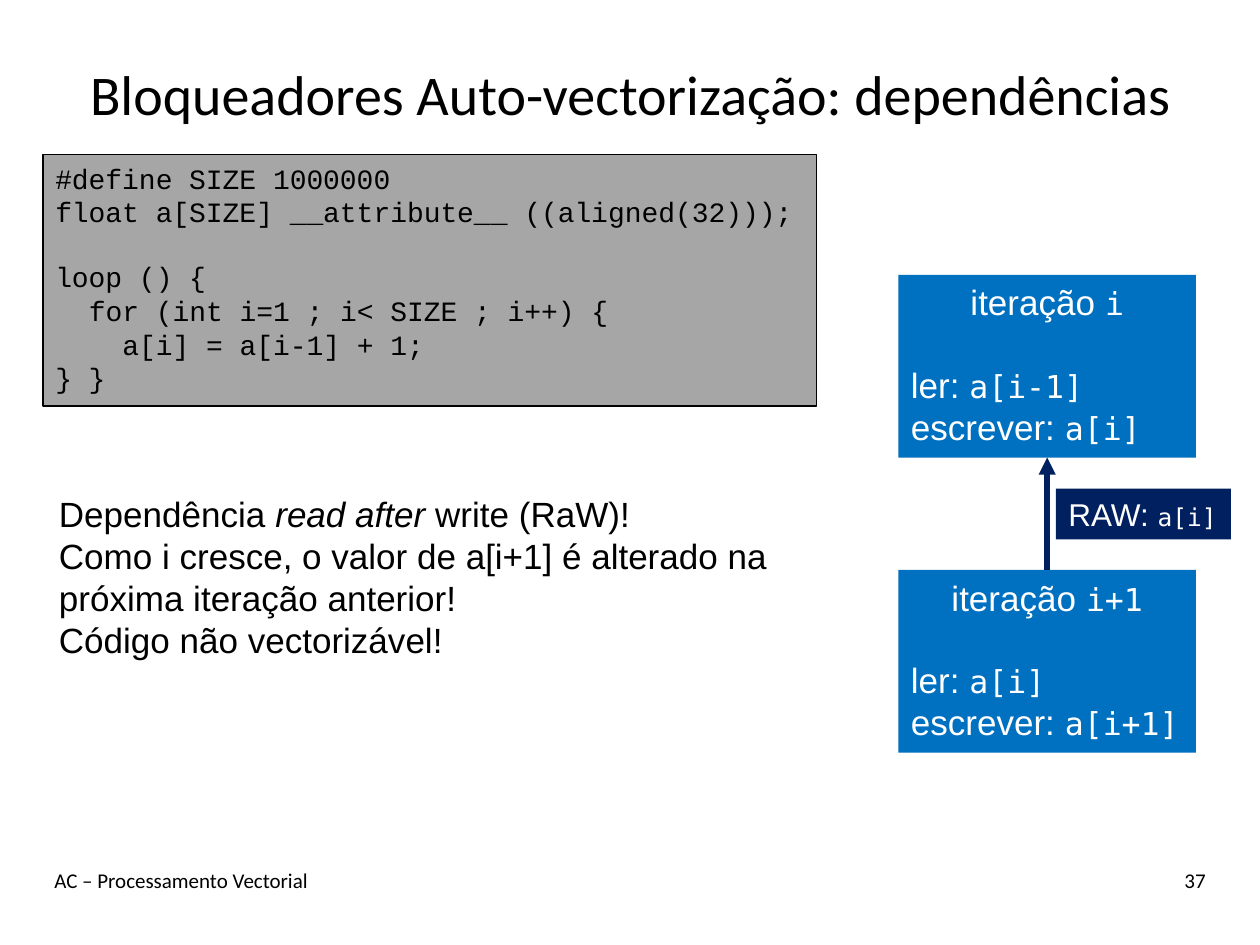
from dataclasses import dataclass

import pptx
import pptx.dml.color
import pptx.enum.shapes
import pptx.enum.text
import pptx.oxml
import pptx.oxml.ns
import pptx.util
from pptx.util import Pt

ALIGN = pptx.enum.text.PP_ALIGN
ANCHOR = pptx.enum.text.MSO_ANCHOR
RECT = pptx.enum.shapes.MSO_SHAPE.RECTANGLE
CURVE = pptx.enum.shapes.MSO_CONNECTOR.CURVE

BLUE, NAVY, GREY, WHITE, BLACK = "0070C0", "002060", "A6A6A6", "FFFFFF", "000000"
MONO = "DejaVu Sans Mono"
CODE_SIZE = 16
CODE_CHAR = 0.6 * CODE_SIZE
CODE_LINE = 18.1
BODY_LINE = 23


@dataclass
class Box:
    left: float
    top: float
    width: float
    height: float


@dataclass
class CodeLine:
    text: str
    indent: int = 0
    blank_before: bool = False


@dataclass
class Iteration:
    top: float
    index: str
    reads: str
    writes: str


def rgb(value: str):
    return pptx.dml.color.RGBColor.from_string(value)


def add_run(p, text: str, *, size=20, font="Arial", color=BLACK, italic=False):
    r = p.add_run()
    r.text = text
    r.font.size = Pt(size)
    r.font.name = font
    r.font.color.rgb = rgb(color)
    r.font.italic = italic


def add_paragraph(tf, *, align=ALIGN.LEFT, before=0, indent=0):
    """Return the unused first paragraph, or a new one."""
    p = tf.paragraphs[0] if not tf.paragraphs[0].runs else tf.add_paragraph()
    p.alignment = align
    p.space_before = Pt(before)
    if indent:
        p._p.get_or_add_pPr().set("marL", str(Pt(indent)))
    return p


def add_text_box(s, box: Box, anchor=ANCHOR.TOP):
    sp = s.shapes.add_textbox(Pt(box.left), Pt(box.top), Pt(box.width), Pt(box.height))
    sp.text_frame.word_wrap = True
    sp.text_frame.vertical_anchor = anchor
    return sp.text_frame


def add_rect(s, box: Box, fill: str, line: str = ""):
    sp = s.shapes.add_shape(RECT, Pt(box.left), Pt(box.top), Pt(box.width), Pt(box.height))
    sp.shadow.inherit = False
    sp.fill.solid()
    sp.fill.fore_color.rgb = rgb(fill)
    if line:
        sp.line.color.rgb = rgb(line)
        sp.line.width = Pt(0.75)
    else:
        sp.line.fill.background()
    sp.text_frame.word_wrap = True
    sp.text_frame.vertical_anchor = ANCHOR.TOP
    return sp


def add_label(s, box: Box, text: str, *, size, align=ALIGN.LEFT, anchor=ANCHOR.TOP):
    p = add_paragraph(add_text_box(s, box, anchor), align=align)
    add_run(p, text, size=size, font="Calibri")


def add_code(s, box: Box, lines: list[CodeLine]):
    tf = add_rect(s, box, GREY, BLACK).text_frame
    for line in lines:
        p = add_paragraph(tf, before=CODE_LINE * line.blank_before,
                          indent=line.indent * CODE_CHAR)
        add_run(p, line.text, size=CODE_SIZE, font="Courier New")


def add_iteration(s, it: Iteration):
    sp = add_rect(s, Box(513.4, it.top, 170, 104.5), BLUE)
    rows = [("iteração ", it.index, ALIGN.CENTER, 0),
            ("ler: ", it.reads, ALIGN.LEFT, BODY_LINE),
            ("escrever: ", it.writes, ALIGN.LEFT, 0)]
    for label, code, align, before in rows:
        p = add_paragraph(sp.text_frame, align=align, before=before)
        add_run(p, label, color=WHITE)
        add_run(p, code, size=18, font=MONO, color=WHITE)
    return sp


def add_dependency(s, source, target):
    """Draw an arrow from the top of source to the bottom of target."""
    cx = s.shapes.add_connector(CURVE, 0, 0, 0, 0)
    cx.begin_connect(source, 0)
    cx.end_connect(target, 2)
    cx.line.color.rgb = rgb(NAVY)
    cx.line.width = Pt(3.25)
    ns = pptx.oxml.ns.nsdecls("a")
    cx.line._get_or_add_ln().append(
        pptx.oxml.parse_xml(f'<a:tailEnd {ns} type="triangle"/>'))
    cx._element.spPr.append(pptx.oxml.parse_xml(f"<a:effectLst {ns}/>"))


def main():
    prs = pptx.Presentation()
    prs.slide_width, prs.slide_height = Pt(720), Pt(540)
    s = prs.slides.add_slide(prs.slide_layouts[6])

    add_label(s, Box(24.5, 20, 672, 66), "Bloqueadores Auto-vectorização: dependências",
              size=32, align=ALIGN.CENTER, anchor=ANCHOR.MIDDLE)
    add_label(s, Box(24, 492, 504, 36), "AC – Processamento Vectorial", size=12)
    add_label(s, Box(600, 492, 96, 36), "37", size=12, align=ALIGN.RIGHT)

    add_code(s, Box(24.5, 88.5, 442, 143.5), [
        CodeLine("#define SIZE 1000000"),
        CodeLine("float a[SIZE] __attribute__ ((aligned(32)));"),
        CodeLine("loop () {", blank_before=True),
        CodeLine("for (int i=1 ; i< SIZE ; i++) {", indent=2),
        CodeLine("a[i] = a[i-1] + 1;", indent=4),
        CodeLine("} }"),
    ])

    tf = add_text_box(s, Box(26.6, 278, 466, 104.5))
    p = add_paragraph(tf)
    add_run(p, "Dependência ")
    add_run(p, "read after ", italic=True)
    add_run(p, "write (RaW)!")
    for text in ("Como i cresce, o valor de a[i+1] é alterado na próxima iteração anterior!",
                 "Código não vectorizável!"):
        add_run(add_paragraph(tf), text)

    current = add_iteration(s, Iteration(157, "i", "a[i-1]", "a[i]"))
    following = add_iteration(s, Iteration(325.6, "i+1", "a[i]", "a[i+1]"))
    add_dependency(s, following, current)

    raw = add_rect(s, Box(603.4, 279.2, 100, 29), NAVY)
    p = add_paragraph(raw.text_frame)
    add_run(p, "RAW: ", size=18, color=WHITE)
    add_run(p, "a[i]", size=14, font=MONO, color=WHITE)

    prs.save("out.pptx")


if __name__ == "__main__":
    main()
